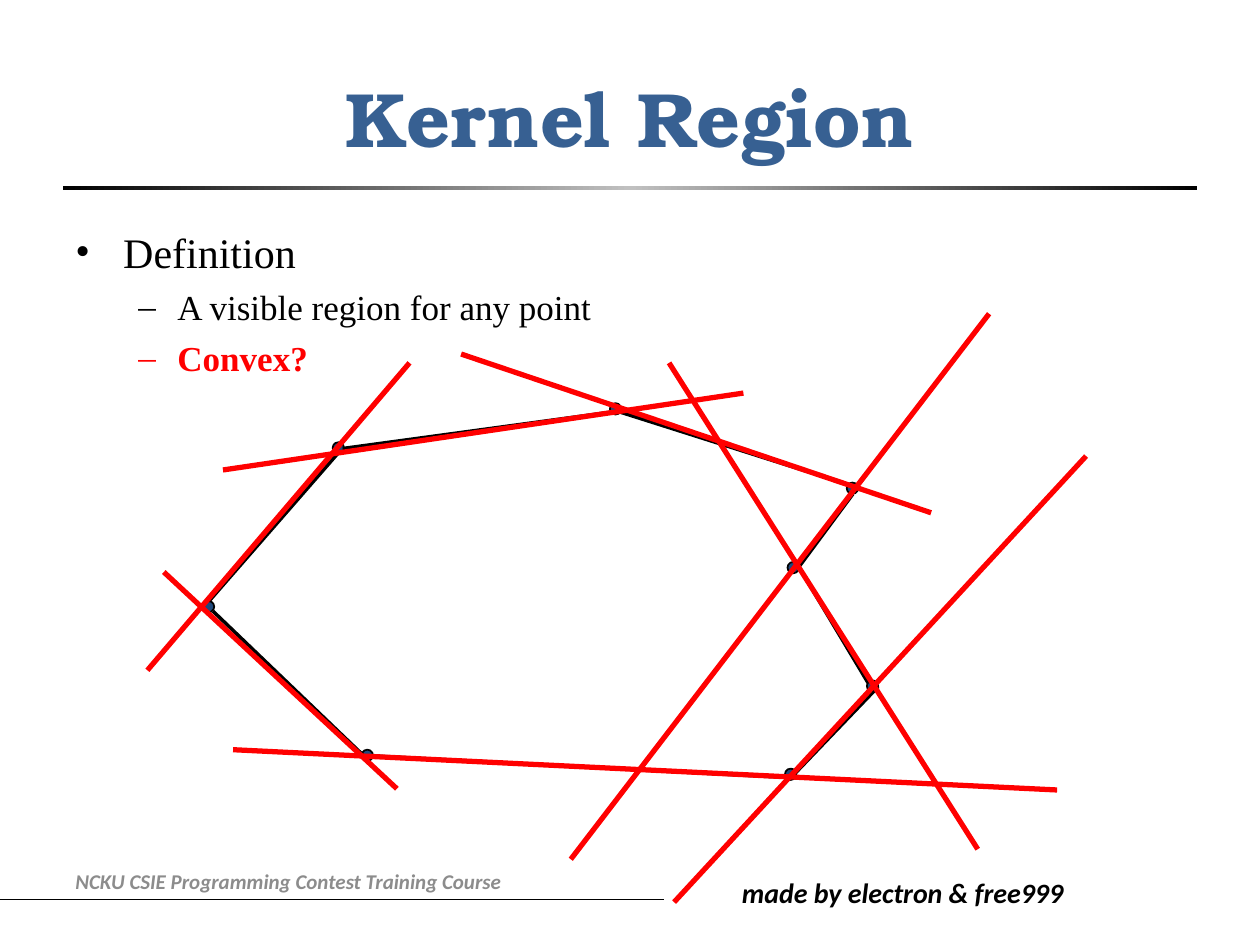
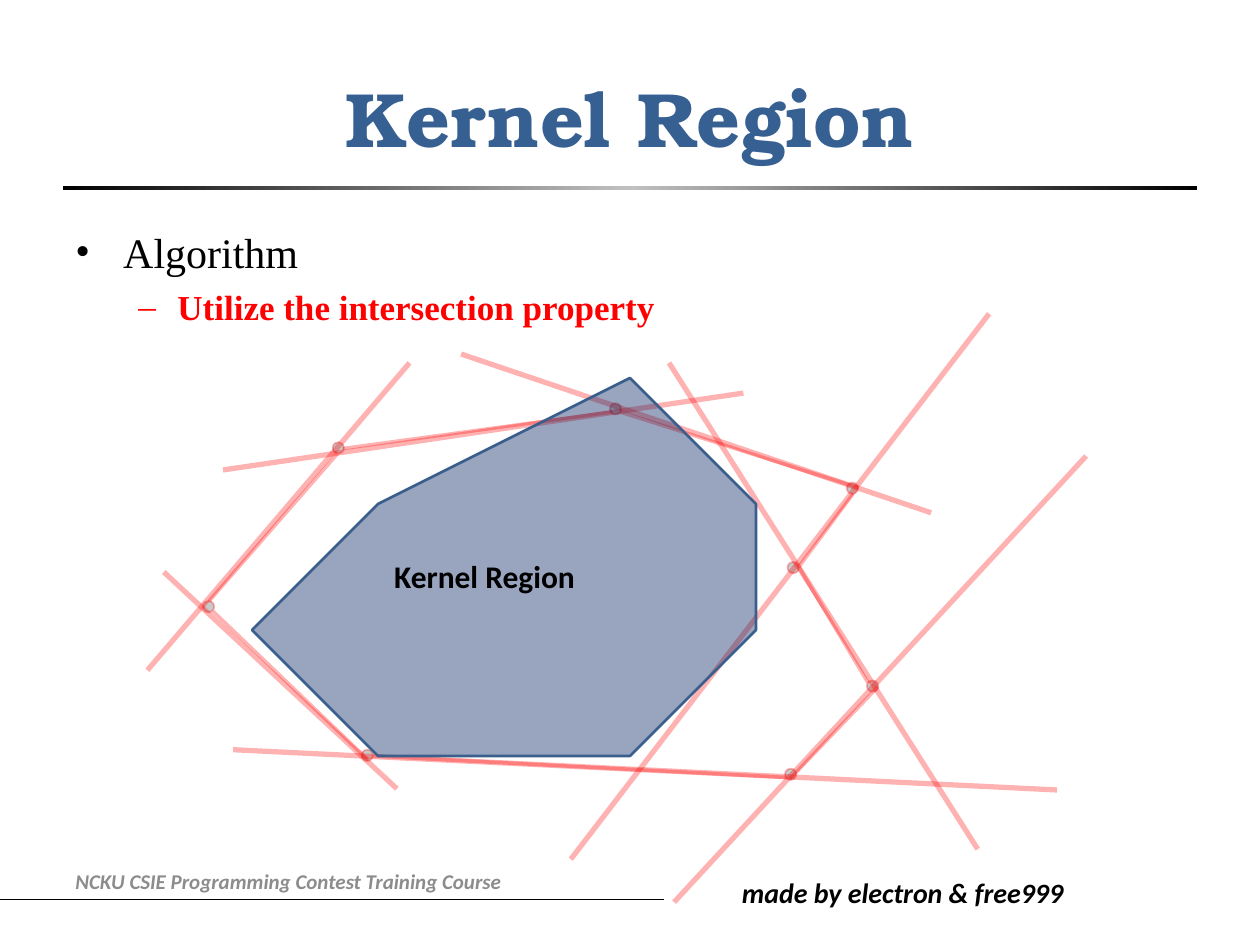
"""Build two slides on the kernel region of a polygon."""
import copy

import lxml.etree
import pptx
import pptx.dml.color
import pptx.enum.shapes
import pptx.enum.text
import pptx.oxml.ns
import pptx.util

Inches = pptx.util.Inches
Pt = pptx.util.Pt
qn = pptx.oxml.ns.qn
ALIGN = pptx.enum.text.PP_ALIGN
ANCHOR = pptx.enum.text.MSO_ANCHOR
SHAPE = pptx.enum.shapes.MSO_SHAPE
STRAIGHT = pptx.enum.shapes.MSO_CONNECTOR.STRAIGHT

COLORS = {
    "black": "000000", "red": "FF0000", "title": "376092", "footer": "8C8C8C",
    "silver": "C0C0C0", "vertex": "1F497D", "kernel": "002060", "outline": "3A5F8C",
}
TITLE = {"name": "TeX Gyre Bonum", "size": Pt(44), "bold": True}
FOOTER = {"name": "Calibri", "size": Pt(12), "bold": True, "italic": True}
CREDIT = {**FOOTER, "size": Pt(16)}
LABEL = {"name": "Calibri", "size": Pt(18), "bold": True}
LEVELS = [
    {"bullet": "•", "margin": 0.38, "indent": -0.38, "size": Pt(24)},
    {"bullet": "–", "margin": 0.81, "indent": -0.31, "size": Pt(20)},
]

DOT_SIZE = 0.09
VERTICES = [(6.23, 6.1), (6.88, 5.4), (6.25, 4.46), (6.72, 3.83),
            (4.84, 3.2), (2.64, 3.51), (1.61, 4.77), (2.87, 5.95)]
EDGES = [
    (2.96, 6, 6.24, 6.17), (6.97, 5.45, 6.27, 6.18), (6.34, 4.5, 6.89, 5.42),
    (6.77, 3.92, 6.34, 4.5), (4.92, 3.27, 6.81, 3.87), (2.72, 3.56, 4.86, 3.27),
    (2.68, 3.6, 1.66, 4.77), (2.92, 6.03, 1.69, 4.85),
]
EXTENDED_EDGES = [
    (1.85, 5.95, 8.39, 6.27), (5.35, 7.16, 8.62, 3.62), (5.31, 2.88, 7.76, 6.74),
    (7.85, 2.49, 4.53, 6.82), (7.39, 4.07, 3.66, 2.81), (5.9, 3.12, 1.77, 3.73),
    (3.25, 2.88, 1.17, 5.32), (3.15, 6.26, 1.3, 4.54),
]
KERNEL = [(2.7, 3.56), (1.6, 4.86), (2.94, 6.03), (5.1, 6.13),
          (6.31, 4.52), (5.7, 3.52), (4.95, 3.25)]

SOLID = {"dot": "vertex", "dot_alpha": 100, "rim": "black", "edge": "black", "alpha": 100}
FADED = {"dot": "black", "dot_alpha": 21, "rim": "red", "edge": "red", "alpha": 30}


def rgb(color):
    """Return the named colour."""
    return pptx.dml.color.RGBColor.from_string(COLORS[color])


def set_opacity(shape, route, percent):
    """Set the opacity of the solid colour found below the shape properties."""
    if percent < 100:
        element = shape._element.spPr.xpath(f"{route}a:solidFill/a:srgbClr")[0]
        lxml.etree.SubElement(element, qn("a:alpha")).set("val", str(percent * 1000))


def paint_fill(shape, color, percent=100):
    """Fill a shape with one colour."""
    shape.shadow.inherit = False
    shape.fill.solid()
    shape.fill.fore_color.rgb = rgb(color)
    set_opacity(shape, "./", percent)


def paint_line(shape, color, width, percent=100):
    """Set the line of a shape or a connector."""
    shape.line.color.rgb = rgb(color)
    shape.line.width = Pt(width)
    set_opacity(shape, "./a:ln/", percent)


def add_line(slide, ends, color, width, percent=100):
    """Draw a straight line without a shadow."""
    connector = slide.shapes.add_connector(STRAIGHT, *map(Inches, ends))
    paint_line(connector, color, width, percent)
    lxml.etree.SubElement(connector._element.spPr, qn("a:effectLst"))


def add_text_frame(slide, place, anchor=ANCHOR.TOP):
    """Add a wrapping text box and return its frame."""
    frame = slide.shapes.add_textbox(*map(Inches, place)).text_frame
    frame.word_wrap = True
    frame.vertical_anchor = anchor
    return frame


def write(paragraph, text, font_format, color, align=ALIGN.LEFT):
    """Write one formatted run into a paragraph."""
    paragraph.alignment = align
    run = paragraph.add_run()
    run.text = text
    for attribute, value in font_format.items():
        setattr(run.font, attribute, value)
    run.font.color.rgb = rgb(color)


def add_label(slide, place, text, font_format, color, align=ALIGN.LEFT, anchor=ANCHOR.TOP):
    """Add a text box with a single paragraph."""
    frame = add_text_frame(slide, place, anchor)
    write(frame.paragraphs[0], text, font_format, color, align)


def add_rule(slide):
    """Draw the gradient rule below the title."""
    rule = slide.shapes.add_shape(SHAPE.RECTANGLE, *map(Inches, (0.5, 1.48, 9, 0.03)))
    rule.shadow.inherit = False
    rule.line.fill.background()
    rule.fill.gradient()
    rule.fill.gradient_angle = 0
    stop_list = rule._element.spPr.find(qn("a:gradFill")).find(qn("a:gsLst"))
    stop_list.insert(1, copy.deepcopy(stop_list[0]))
    for stop, position, color in zip(
            rule.fill.gradient_stops, (0, 0.5, 1), ("black", "silver", "black")):
        stop.position = position
        stop.color.rgb = rgb(color)


def add_bullets(slide, items):
    """Add the bulleted text from level, text and emphasis."""
    frame = add_text_frame(slide, (0.5, 1.75, 9, 4.95))
    for index, (level, text, emphasis) in enumerate(items):
        style = LEVELS[level]
        paragraph = frame.add_paragraph() if index else frame.paragraphs[0]
        paragraph.level = level
        paragraph.space_before = Pt(5)
        font_format = {"name": "Times New Roman", "size": style["size"], "bold": emphasis}
        write(paragraph, text, font_format, "red" if emphasis else "black", ALIGN.JUSTIFY)
        properties = paragraph._p.get_or_add_pPr()
        properties.set("marL", str(Inches(style["margin"])))
        properties.set("indent", str(Inches(style["indent"])))
        lxml.etree.SubElement(properties, qn("a:buFont")).set("typeface", "Times New Roman")
        lxml.etree.SubElement(properties, qn("a:buChar")).set("char", style["bullet"])


def add_polygon(slide, look):
    """Draw the vertices, the edges and the extended edges."""
    for left, top in VERTICES:
        place = map(Inches, (left, top, DOT_SIZE, DOT_SIZE))
        dot = slide.shapes.add_shape(SHAPE.OVAL, *place)
        paint_fill(dot, look["dot"], look["dot_alpha"])
        paint_line(dot, look["rim"], 1, look["alpha"])
    for ends in EDGES:
        add_line(slide, ends, look["edge"], 2, look["alpha"])
    for ends in EXTENDED_EDGES:
        add_line(slide, ends, "red", 3, look["alpha"])


def add_kernel(slide):
    """Draw the labelled kernel region."""
    builder = slide.shapes.build_freeform(*KERNEL[0], scale=Inches(1))
    builder.add_line_segments(KERNEL[1:], close=True)
    region = builder.convert_to_shape()
    paint_fill(region, "kernel", 40)
    paint_line(region, "outline", 1.5)
    add_label(slide, (3.03, 4.37, 1.97, 0.4), "Kernel Region", LABEL, "black")


def add_kernel_slide(presentation, items, look):
    """Add a slide with the shared frame, bullets and polygon."""
    slide = presentation.slides.add_slide(presentation.slide_layouts[6])
    add_line(slide, (-0.98, 7.14, 5.27, 7.14), "black", 0.5)
    add_label(slide, (5.79, 6.9, 3.04, 0.37), "made by electron & free999", CREDIT, "black")
    add_rule(slide)
    add_label(slide, (0.5, 0.3, 9, 1.25), "Kernel Region", TITLE, "title",
              ALIGN.CENTER, ANCHOR.MIDDLE)
    add_bullets(slide, items)
    add_label(slide, (0.5, 6.79, 4.66, 0.4), "NCKU CSIE Programming Contest Training Course",
              FOOTER, "footer", anchor=ANCHOR.MIDDLE)
    add_polygon(slide, look)
    return slide


def main():
    """Build and save the presentation."""
    presentation = pptx.Presentation()
    presentation.slide_width = Inches(10)
    presentation.slide_height = Inches(7.5)
    add_kernel_slide(presentation, [
        (0, "Definition", False),
        (1, "A visible region for any point", False),
        (1, "Convex?", True),
    ], SOLID)
    algorithm_slide = add_kernel_slide(presentation, [
        (0, "Algorithm", False),
        (1, "Utilize the intersection property", True),
    ], FADED)
    add_kernel(algorithm_slide)
    presentation.save("out.pptx")


if __name__ == "__main__":
    main()
